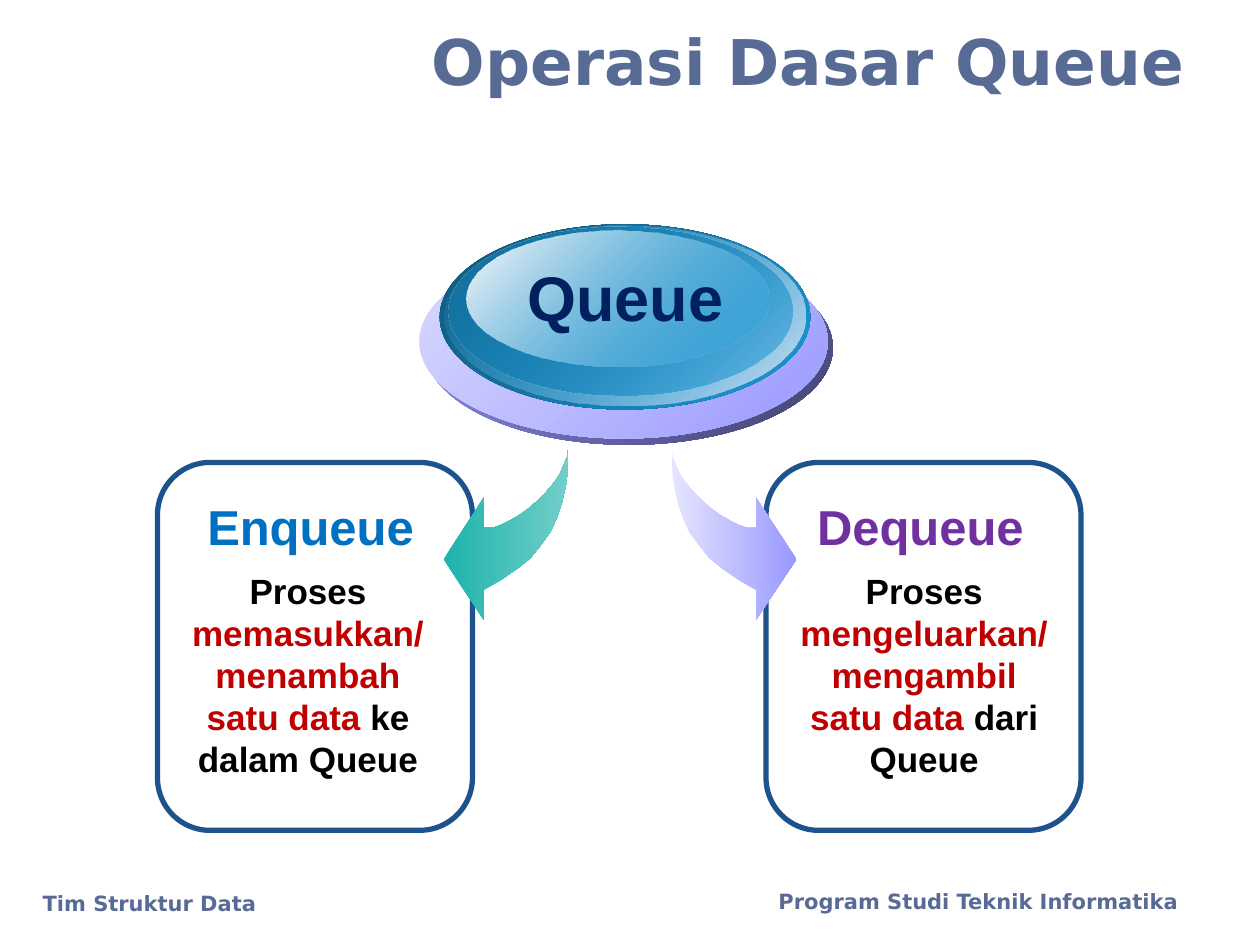
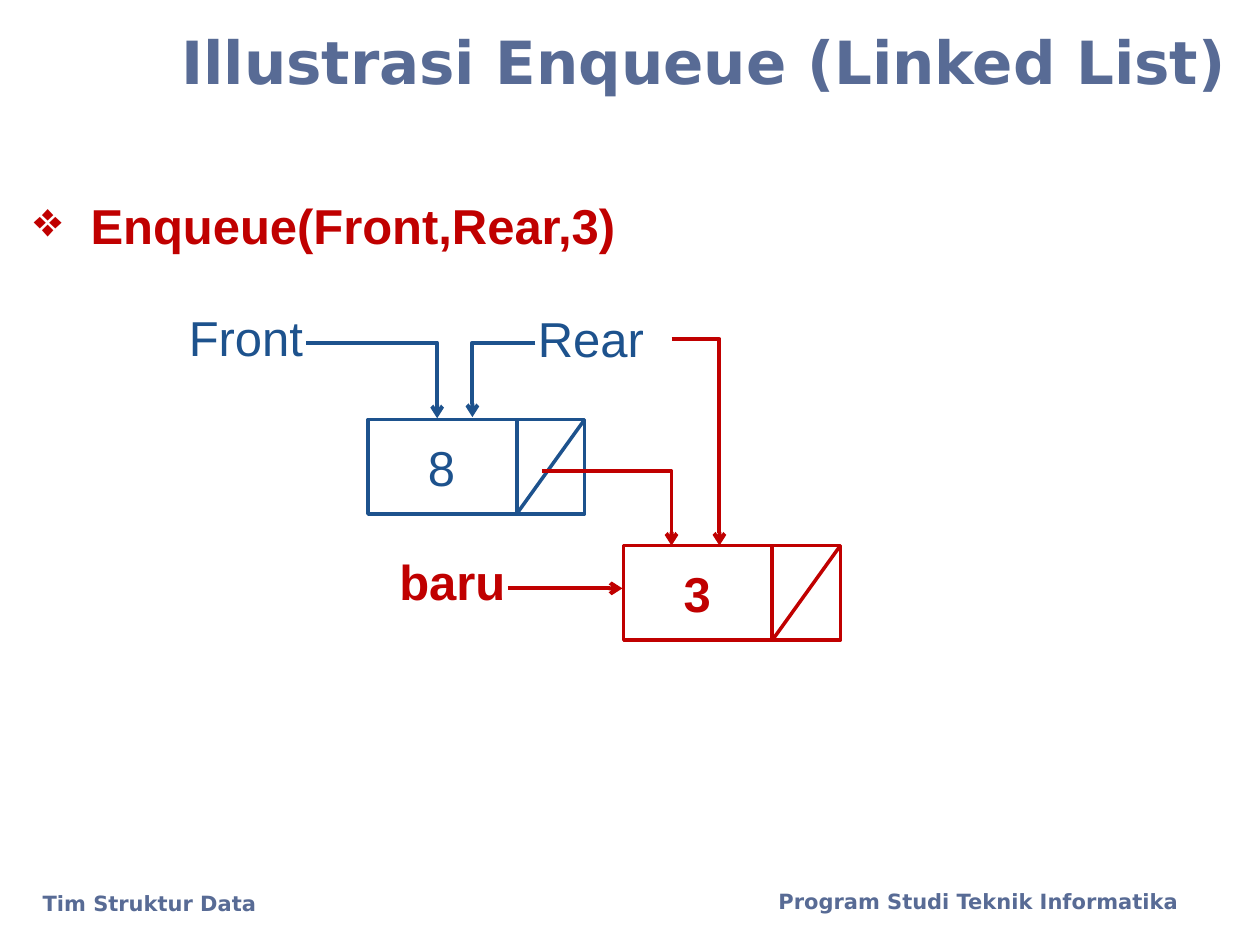
from dataclasses import dataclass

from lxml import etree
from pptx import Presentation
from pptx import util as u
from pptx.dml.color import RGBColor
from pptx.enum import shapes, text
from pptx.oxml import parse_xml
from pptx.oxml.ns import nsdecls, qn

# Shared colours and fonts
SLATE, NAVY, RED, BLACK, WHITE = "586B95", "1D528D", "C00000", "000000", "FFFFFF"
SKY, LILAC = "1B9AD9", "9999FF"
HEADING_FONT, BODY_FONT = "DejaVu Sans", "Arial"
LEFT, CENTER, RIGHT = text.PP_ALIGN.LEFT, text.PP_ALIGN.CENTER, text.PP_ALIGN.RIGHT


@dataclass
class Stop:
    position: int
    color: str
    alpha: int = 100


@dataclass
class Disc:
    left: float
    top: float
    width: float
    height: float
    start: Stop
    end: Stop


@dataclass
class Card:
    left: float
    heading: str
    heading_left: float
    heading_color: str
    body_left: float
    action: str
    ending: str


@dataclass
class Node:
    left: float
    top: float
    value: str
    color: str
    bold: bool


def rgb(color: str) -> RGBColor:
    return RGBColor.from_string(color)


def inches(*values: float) -> list:
    return [u.Inches(value) for value in values]


def write(frame, runs, *, size: float, color: str = BLACK, bold: bool = True,
          font: str = BODY_FONT, align=LEFT, wrap: bool = True):
    """Fill a text frame with one paragraph of (words, colour) runs or plain text."""
    frame.word_wrap = wrap
    frame.auto_size = text.MSO_AUTO_SIZE.NONE
    paragraph = frame.paragraphs[0]
    paragraph.alignment = align
    for words, run_color in [(runs, color)] if isinstance(runs, str) else runs:
        run = paragraph.add_run()
        run.text = words
        run.font.name, run.font.size, run.font.bold = font, u.Pt(size), bold
        run.font.color.rgb = rgb(run_color)
    return paragraph


def add_text(slide, box: tuple, runs, **style):
    return write(slide.shapes.add_textbox(*inches(*box)).text_frame, runs, **style)


def outline(shape, color: str, width: float) -> None:
    shape.line.color.rgb = rgb(color)
    shape.line.width = u.Pt(width)


def gradient(shape, stops: list, angle: int) -> None:
    """Give a borderless shape a linear gradient, angle clockwise in degrees."""
    shape.shadow.inherit = False
    shape.line.fill.background()
    shape.fill.solid()
    marks = "".join(
        f'<a:gs pos="{s.position * 1000}"><a:srgbClr val="{s.color}">'
        f'<a:alpha val="{s.alpha * 1000}"/></a:srgbClr></a:gs>' for s in stops)
    fill = parse_xml(f'<a:gradFill {nsdecls("a")} rotWithShape="1"><a:gsLst>{marks}</a:gsLst>'
                     f'<a:lin ang="{angle * 60000}" scaled="0"/></a:gradFill>')
    properties = shape._element.spPr
    properties.replace(properties.find(qn("a:solidFill")), fill)


def add_line(slide, start: tuple, end: tuple, color: str, *, width: float = 2.25,
             bent: bool = False, arrow: bool = False) -> None:
    kind = shapes.MSO_CONNECTOR.ELBOW if bent else shapes.MSO_CONNECTOR.STRAIGHT
    line = slide.shapes.add_connector(kind, *inches(*start, *end))
    outline(line, color, width)
    properties = line._element.spPr
    if bent:  # one corner: across, then down
        properties.find(qn("a:prstGeom")).set("prst", "bentConnector2")
    if arrow:
        etree.SubElement(properties.find(qn("a:ln")), qn("a:tailEnd"), type="arrow")
    etree.SubElement(properties, qn("a:effectLst"))


def add_slide(deck, title: str, left: float, size: float):
    """Start a slide with the shared title style and footers."""
    slide = deck.slides.add_slide(deck.slide_layouts[5])
    heading = slide.shapes.title
    heading.left, heading.top, heading.width, heading.height = inches(left, 0.17, 9, 0.62)
    heading.text_frame.vertical_anchor = text.MSO_ANCHOR.MIDDLE
    style = dict(color=SLATE, font=HEADING_FONT)
    write(heading.text_frame, title, size=size, align=RIGHT, **style)
    add_text(slide, (0.24, 7.02, 3.01, 0.35), "Tim Struktur Data", size=12, **style)
    add_text(slide, (6.08, 7, 3.67, 0.5), "Program Studi Teknik Informatika", size=12, **style)
    return slide


def add_card(slide, card: Card) -> None:
    frame = slide.shapes.add_shape(shapes.MSO_SHAPE.ROUNDED_RECTANGLE,
                                   *inches(card.left, 3.67, 2.5, 2.92))
    frame.adjustments[0] = 0.167
    frame.shadow.inherit = False
    frame.fill.background()
    outline(frame, NAVY, 3)
    add_text(slide, (card.heading_left, 3.89, 2.23, 0.57), card.heading,
             size=28, color=card.heading_color, align=CENTER)
    add_text(slide, (card.body_left, 4.47, 2.23, 1.78),
             [("Proses ", BLACK), (card.action, RED), (card.ending, BLACK)],
             size=20, align=CENTER)


def add_curved_arrow(slide, points: list, stops: list) -> None:
    corners = [tuple(inches(*point)) for point in points]
    builder = slide.shapes.build_freeform(*corners[0], scale=1.0)
    builder.add_line_segments(corners[1:], close=True)
    gradient(builder.convert_to_shape(), stops, 0)


def add_node(slide, node: Node) -> None:
    """Draw a list node: a value cell and a crossed-out pointer cell."""
    width, height, value_width = 1.72, 0.75, 1.18
    box = slide.shapes.add_shape(shapes.MSO_SHAPE.RECTANGLE,
                                 *inches(node.left, node.top, width, height))
    box.shadow.inherit = False
    box.fill.solid()
    box.fill.fore_color.rgb = rgb(WHITE)
    outline(box, node.color, 2)
    divider, bottom = node.left + value_width, node.top + height
    add_line(slide, (divider, node.top), (divider, bottom), node.color)
    add_line(slide, (node.left + width, node.top), (divider, bottom), node.color, width=2)
    add_text(slide, (node.left + 0.16, node.top + 0.09, 0.63, 0.57), node.value,
             size=28, color=node.color, bold=node.bold, align=RIGHT)


deck = Presentation()
deck.slide_width, deck.slide_height = inches(10, 7.5)

# Slide 1: basic queue operations
operations = add_slide(deck, "Operasi Dasar Queue", 0.5, 36)

for card in (
    Card(1.25, "Enqueue", 1.35, "0070C0", 1.33,
         "memasukkan/menambah satu data ", "ke dalam Queue"),
    Card(6.08, "Dequeue", 6.19, "7030A0", 6.22,
         "mengeluarkan/mengambil satu data ", "dari Queue"),
):
    add_card(operations, card)

# Curved arrows, mirrored about the axis between the cards
AXIS = 4.92
enqueue_arrow = [
    (4.51, 3.56), (4.51, 3.71), (4.49, 3.86), (4.46, 3.99), (4.42, 4.11), (4.37, 4.22),
    (4.29, 4.33), (4.21, 4.43), (4.11, 4.51), (3.98, 4.6), (3.84, 4.68), (3.84, 4.92),
    (3.52, 4.44), (3.84, 3.95), (3.84, 4.19), (3.91, 4.19), (3.97, 4.17), (4.05, 4.13),
    (4.12, 4.09), (4.19, 4.04), (4.26, 3.98), (4.33, 3.91), (4.39, 3.84), (4.44, 3.77),
    (4.47, 3.7), (4.5, 3.63),
]
dequeue_arrow = [(2 * AXIS - x, y) for x, y in enqueue_arrow]
add_curved_arrow(operations, enqueue_arrow, [Stop(0, "1DB3AC"), Stop(100, "72CEC9")])
add_curved_arrow(operations, dequeue_arrow, [Stop(0, "E5E5FF"), Stop(100, LILAC)])

# Queue button: stacked glossy discs, from back to front
for disc in (
    Disc(3.37, 1.99, 3.24, 1.54, Stop(0, LILAC), Stop(100, "40406B")),
    Disc(3.33, 1.94, 3.24, 1.54, Stop(0, "DADAFF"), Stop(100, LILAC)),
    Disc(3.49, 1.78, 2.94, 1.47, Stop(0, "0F5578"), Stop(100, SKY)),
    Disc(3.53, 1.79, 2.86, 1.43, Stop(0, SKY, 0), Stop(100, "D4E2F3")),
    Disc(3.56, 1.8, 2.73, 1.34, Stop(0, "136E9B"), Stop(100, SKY, 48)),
    Disc(3.7, 1.83, 2.4, 1.08, Stop(0, WHITE), Stop(100, SKY, 38)),
):
    oval = operations.shapes.add_shape(
        shapes.MSO_SHAPE.OVAL, *inches(disc.left, disc.top, disc.width, disc.height))
    gradient(oval, [disc.start, disc.end], 45)
add_text(operations, (4.08, 2, 1.77, 0.71), "Queue", size=36, color="002060",
         align=CENTER, wrap=False)

# Slide 2: enqueue on a linked list
linked_list = add_slide(deck, "Illustrasi Enqueue (Linked List)", 0.83, 34)

call = add_text(linked_list, (0.17, 1.5, 5.25, 0.57), "Enqueue(Front,Rear,3)",
                size=28, color=RED)
indent = call._p.get_or_add_pPr()
indent.set("marL", str(u.Inches(0.45)))
indent.set("indent", str(u.Inches(-0.45)))
etree.SubElement(indent, qn("a:buChar"), char="❖")

for node in (Node(4.95, 4.33, "3", RED, True), Node(2.92, 3.33, "8", NAVY, False)):
    add_node(linked_list, node)

# Pointer names
for label, left, top, color, bold, align in (
    ("Front", 1.4, 2.39, NAVY, False, LEFT),
    ("Rear", 4.17, 2.4, NAVY, False, LEFT),
    ("baru", 2.85, 4.33, RED, True, RIGHT),
):
    add_text(linked_list, (left, top, 1.26, 0.57), label, size=28, color=color,
             bold=bold, align=align)

# Pointers: Front, old Rear, link to the new node, new Rear, baru
for start, end, color, bent in (
    ((2.43, 2.72), (3.47, 3.32), NAVY, True),
    ((4.25, 2.72), (3.75, 3.31), NAVY, True),
    ((4.3, 3.74), (5.33, 4.33), RED, True),
    ((5.33, 2.69), (5.71, 4.33), RED, True),
    ((4.03, 4.67), (4.94, 4.67), RED, False),
):
    add_line(linked_list, start, end, color, bent=bent, arrow=True)

deck.save("out.pptx")
